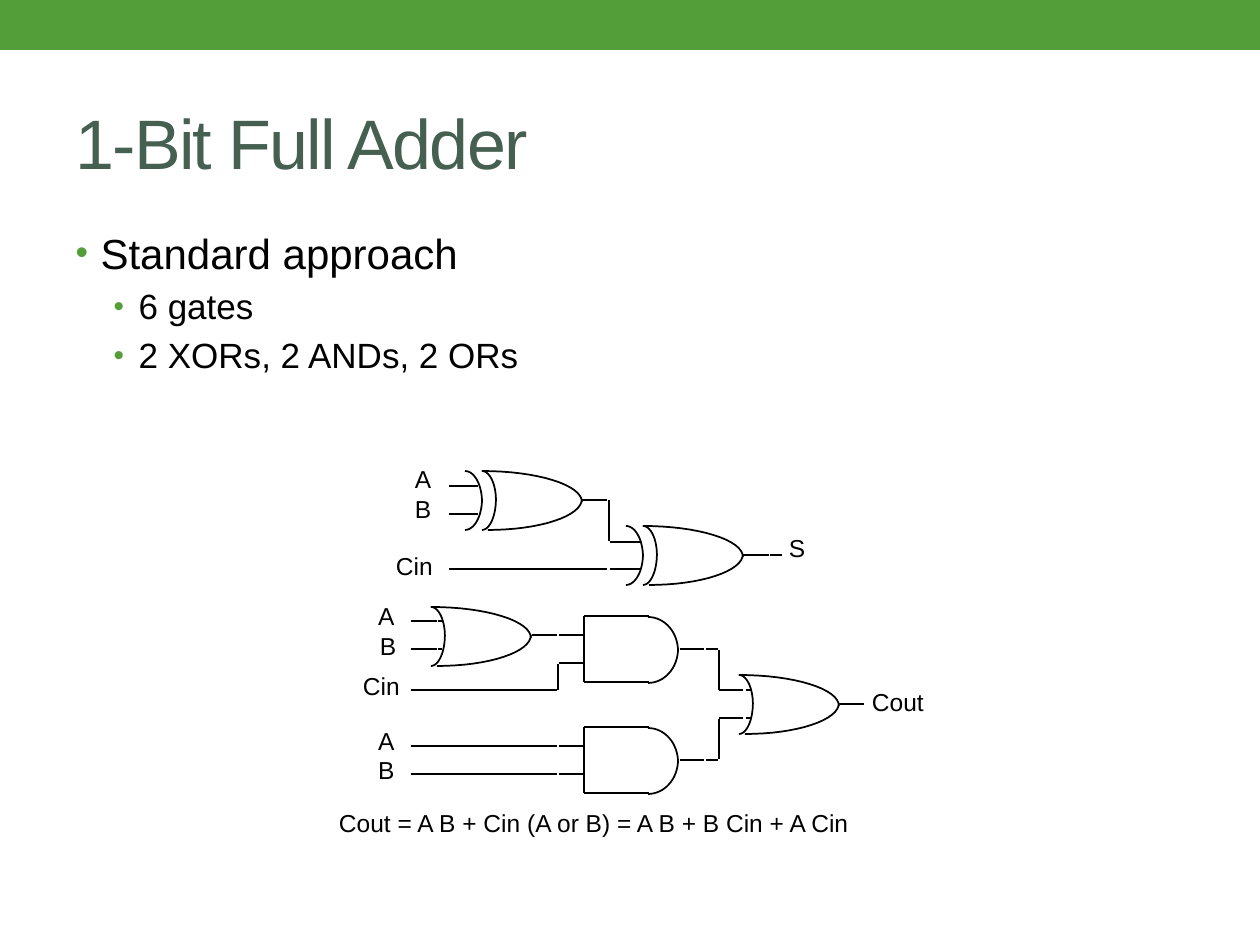
"""Build the 1-bit full adder slide with its gate diagram."""
from math import cos, pi, sin

from lxml.etree import SubElement
from pptx import Presentation
from pptx.dml.color import RGBColor as Rgb
from pptx.enum.shapes import MSO_CONNECTOR as Connector, MSO_SHAPE as Preset
from pptx.enum.text import MSO_ANCHOR as Anchor, PP_ALIGN as Align
from pptx.oxml.ns import qn
from pptx.util import Emu, Pt

COLOURS = {"accent": "549E39", "title": "455F51", "ink": "000000"}
EMU_PER_PX = 914400 / 126
CURVE_STEPS = 16
FONT = "Arial"


def px(length):
    return Emu(round(length * EMU_PER_PX))


def colour(name):
    return Rgb.from_string(COLOURS[name])


def assign(target, values):
    for name, value in values.items():
        setattr(target, name, value)


class AdderSlide:
    def __init__(self, slide):
        self.slide = slide
        self.shapes = slide.shapes

    def style_run(self, run, size, ink="ink"):
        assign(run.font, {"name": FONT, "size": Pt(size)})
        run.font.color.rgb = colour(ink)

    def style_line(self, line):
        line.color.rgb = colour("ink")
        line.width = Pt(1)

    def place(self, shape, left, top, width, height):
        box = {"left": left, "top": top, "width": width, "height": height}
        assign(shape, {side: px(length) for side, length in box.items()})

    def band(self, *box):
        band = self.shapes.add_shape(Preset.RECTANGLE, *map(px, box))
        band.shadow.inherit = False
        band.fill.solid()
        band.fill.fore_color.rgb = colour("accent")
        band.line.fill.background()

    def title(self, text, *box):
        heading = self.shapes.title
        self.place(heading, *box)
        heading.text_frame.vertical_anchor = Anchor.MIDDLE
        paragraph = heading.text_frame.paragraphs[0]
        paragraph.alignment = Align.LEFT
        run = paragraph.add_run()
        run.text = text
        self.style_run(run, 40, "title")
        run.font._element.set("spc", "-100")

    def bullets(self, items, *box):
        body = self.slide.placeholders[1]
        self.place(body, *box)
        frame = body.text_frame
        for index, (level, text) in enumerate(items):
            paragraph = frame.add_paragraph() if index else frame.paragraphs[0]
            paragraph.level = level
            run = paragraph.add_run()
            run.text = text
            self.style_run(run, 20 if level else 24)
            self.bullet(paragraph, 63 if level else 25)

    def bullet(self, paragraph, indent):
        properties = paragraph._p.get_or_add_pPr()
        properties.set("marL", str(px(indent)))
        properties.set("indent", str(-px(25)))
        tint = SubElement(properties, qn("a:buClr"))
        SubElement(tint, qn("a:srgbClr"), val=COLOURS["accent"])
        SubElement(properties, qn("a:buSzPct"), val="85000")
        SubElement(properties, qn("a:buFont"), typeface=FONT)
        SubElement(properties, qn("a:buChar"), char="•")

    def label(self, text, left, top, width):
        frame = self.shapes.add_textbox(*map(px, (left, top, width, 42))).text_frame
        assign(frame, {"word_wrap": True, "margin_left": px(3), "margin_right": px(3),
                       "margin_top": px(4), "margin_bottom": px(4)})
        paragraph = frame.paragraphs[0]
        paragraph.line_spacing = Pt(13.8)
        run = paragraph.add_run()
        run.text = text
        self.style_run(run, 14)

    def wire(self, *ends):
        wire = self.shapes.add_connector(Connector.STRAIGHT, *map(px, ends))
        self.style_line(wire.line)
        SubElement(wire._element.spPr, qn("a:effectLst"))

    def arc(self, left, top, width, height, lower=False):
        angles = [step * pi / 2 / CURVE_STEPS for step in range(CURVE_STEPS + 1)]
        points = [(px(left + width * (cos(a) if lower else sin(a))),
                   px(top + height * (sin(a) if lower else 1 - cos(a)))) for a in angles]
        builder = self.shapes.build_freeform(*points[0])
        builder.add_line_segments(points[1:], close=False)
        curve = builder.convert_to_shape()
        curve.shadow.inherit = False
        curve.fill.background()
        self.style_line(curve.line)

    def or_gate(self, left, top, exclusive=False):
        if exclusive:
            self.arc(left - 17, top, 17, 31)
            self.arc(left - 17, top + 28, 17, 31, lower=True)
        self.arc(left, top, 14, 29)
        self.arc(left, top, 100, 31)
        self.arc(left + 6, top + 28, 94, 31, lower=True)
        self.arc(left, top + 28, 14, 31, lower=True)

    def and_gate(self, left, top):
        bottom = top + 66
        for y in (top, bottom):
            self.wire(left, y, left + 65, y)
        self.wire(left, bottom, left, top)
        self.arc(left + 64, top + 1, 30, 34)
        self.arc(left + 64, top + 33, 30, 34, lower=True)


BULLETS = [(0, "Standard approach"), (1, "6 gates"), (1, "2 XORs, 2 ANDs, 2 ORs")]
LABELS = [
    ("A", 412, 465, 34), ("B", 412, 495, 33), ("Cin", 393, 552, 59), ("S", 786, 534, 33),
    ("A", 375, 602, 34), ("B", 377, 632, 33), ("Cin", 360, 672, 66),
    ("A", 375, 727, 34), ("B", 375, 756, 33), ("Cout", 869, 688, 71),
    ("Cout = A B + Cin (A or B) = A B + B Cin + A Cin", 336, 809, 559),
]
XOR_INPUT = [(449, 472), (472, 478)]
SUM_INPUT = [(610, 634), (634, 640)]
OR_INPUT = [(411, 437), (438, 442)]
AND_INPUT = [(411, 557), (559, 583)]
AND_OUTPUT = [(680, 704), (706, 718)]
CARRY_INPUT = [(719, 743), (746, 751)]
HORIZONTAL_WIRES = [
    (486, XOR_INPUT), (514, XOR_INPUT), (500, [(582, 607)]),
    (542, SUM_INPUT), (569, [(449, 607)] + SUM_INPUT), (555, [(743, 769), (770, 782)]),
    (621, OR_INPUT), (649, OR_INPUT + AND_OUTPUT), (635, [(532, 557), (559, 583)]),
    (663, [(559, 583)]), (690, [(411, 557)] + CARRY_INPUT), (718, CARRY_INPUT),
    (746, AND_INPUT), (774, AND_INPUT), (760, AND_OUTPUT), (704, [(840, 864)]),
]
VERTICAL_WIRES = [(609, 500, 541), (558, 664, 690), (719, 650, 690), (719, 719, 759)]


def main():
    deck = Presentation()
    assign(deck, {"slide_width": px(1260), "slide_height": px(945)})
    adder = AdderSlide(deck.slides.add_slide(deck.slide_layouts[1]))
    adder.band(0, 0, 1260, 50)
    adder.title("1-Bit Full Adder", 63, 73, 1134, 136)
    adder.bullets(BULLETS, 63, 221, 1134, 672)
    for left, top in ((482, 471), (643, 526)):
        adder.or_gate(left, top, exclusive=True)
    for left, top in ((431, 607), (739, 675)):
        adder.or_gate(left, top)
    for top in (616, 727):
        adder.and_gate(584, top)
    for y, spans in HORIZONTAL_WIRES:
        for start, end in spans:
            adder.wire(start, y, end, y)
    for x, start, end in VERTICAL_WIRES:
        adder.wire(x, start, x, end)
    for label in LABELS:
        adder.label(*label)
    deck.save("out.pptx")


if __name__ == "__main__":
    main()
